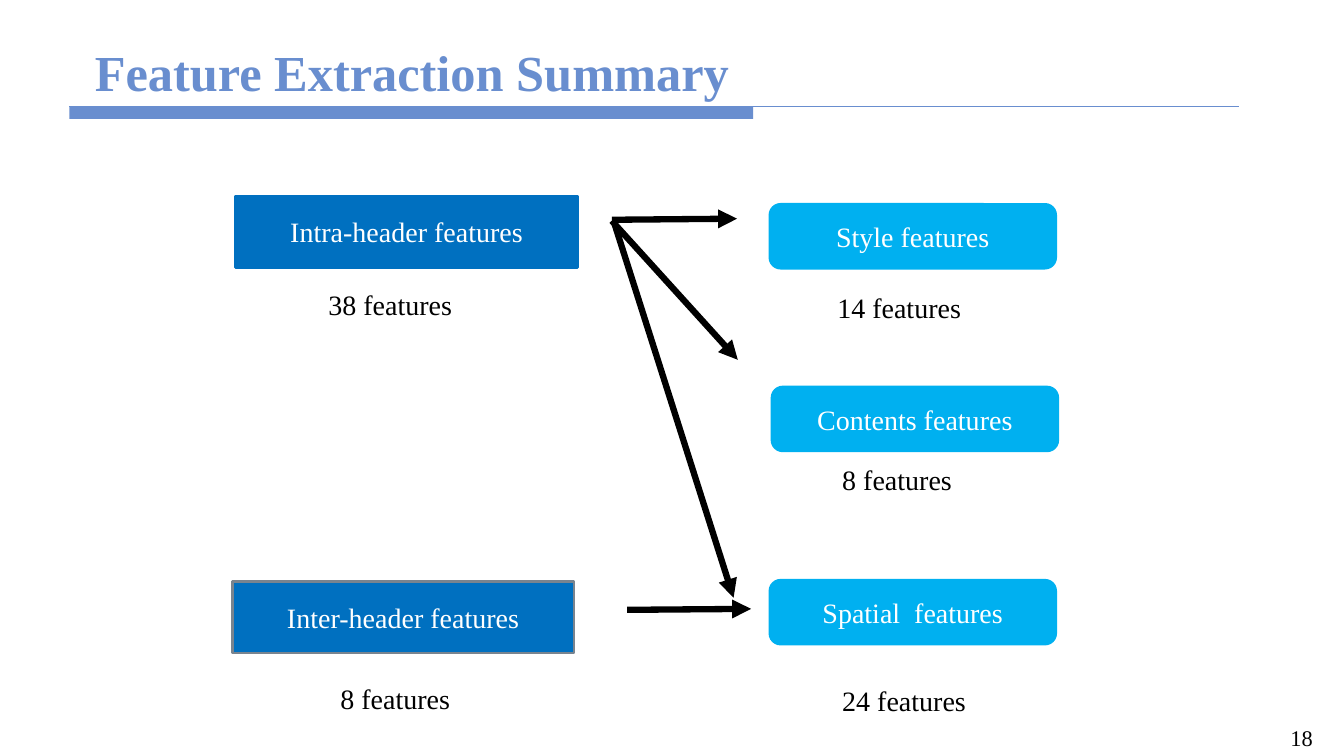
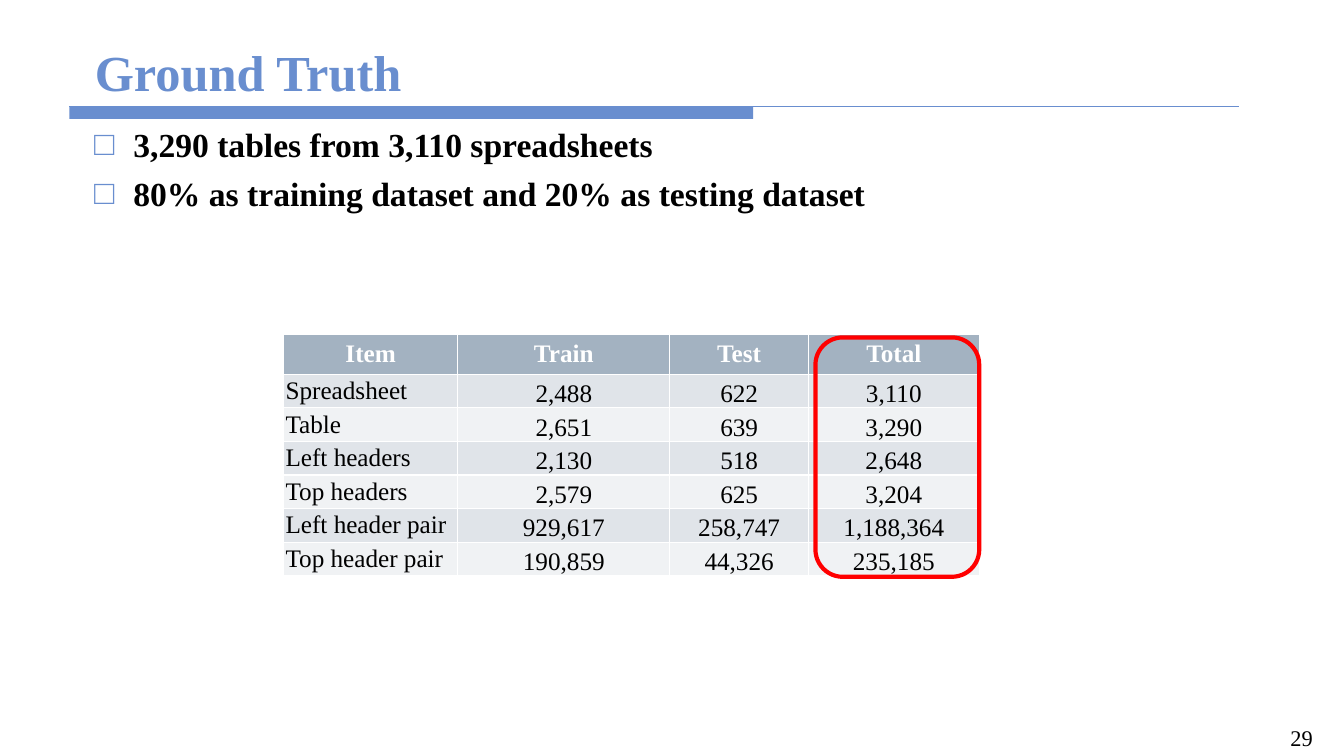
from lxml import etree
from pptx import Presentation
from pptx.dml.color import RGBColor
from pptx.enum.shapes import MSO_CONNECTOR, MSO_SHAPE
from pptx.enum.text import MSO_ANCHOR, MSO_AUTO_SIZE, PP_ALIGN
from pptx.oxml.ns import qn
from pptx.util import Pt

LEFT, CENTER = PP_ALIGN.LEFT, PP_ALIGN.CENTER
TOP, MIDDLE, BOTTOM = MSO_ANCHOR.TOP, MSO_ANCHOR.MIDDLE, MSO_ANCHOR.BOTTOM
RECT, ROUNDED = MSO_SHAPE.RECTANGLE, MSO_SHAPE.ROUNDED_RECTANGLE
STRAIGHT = MSO_CONNECTOR.STRAIGHT
NO_AUTOFIT = MSO_AUTO_SIZE.NONE

FONT = "Times New Roman"
COLORS = {
    "accent": "698ECF", "black": "000000", "white": "FFFFFF",
    "source": "0070C0", "source_edge": "79848F", "group": "00B0F0",
    "header": "A3B2C1", "row_dark": "E0E4E9", "row_light": "F0F2F4",
    "highlight": "FF0000",
}
TITLE_ONLY, TITLE_AND_BODY = 5, 1

HEADER_KINDS = [
    ("Intra-header features", 2.5, 0, "source"),
    ("Inter-header features", 0, 275.5, "source_edge"),
]
FEATURE_GROUPS = [
    ("Style features", 384, 6),
    ("Contents features", 385.5, 136.5),
    ("Spatial  features", 384, 274.5),
]
FEATURE_COUNTS = [
    ("38 features", 61.5, 61.5),
    ("8 features", 70, 343),
    ("14 features", 425, 64),
    ("8 features", 428.5, 187),
    ("24 features", 428.5, 344.5),
]
ARROWS = [
    (271, 17, 360.5, 16.2),
    (282, 295.6, 370.5, 294.9),
    (271, 17.7, 361, 117),
    (273, 20, 358, 287),
]
DATASET_FACTS = [
    "3,290 tables from 3,110 spreadsheets",
    "80% as training dataset and 20% as testing dataset",
]
DATASET_COUNTS = [
    ("Item", "Train", "Test", "Total"),
    ("Spreadsheet", "2,488", "622", "3,110"),
    ("Table", "2,651", "639", "3,290"),
    ("Left headers", "2,130", "518", "2,648"),
    ("Top headers", "2,579", "625", "3,204"),
    ("Left header pair", "929,617", "258,747", "1,188,364"),
    ("Top header pair", "190,859", "44,326", "235,185"),
]


def rgb(name):
    return RGBColor.from_string(COLORS[name])


def write(paragraph, text, size, color="black", bold=False, align=LEFT):
    paragraph.alignment = align
    run = paragraph.add_run()
    run.text = text
    run.font.name = FONT
    run.font.size = Pt(size)
    run.font.bold = bold
    run.font.color.rgb = rgb(color)


def place(placeholder, left, top, width, height, anchor):
    placeholder.left, placeholder.top = Pt(left), Pt(top)
    placeholder.width, placeholder.height = Pt(width), Pt(height)
    frame = placeholder.text_frame
    frame.auto_size = NO_AUTOFIT
    frame.vertical_anchor = anchor
    return frame


def add_label(slide, text, left, top, width, height, size, align=LEFT):
    frame = slide.shapes.add_textbox(
        Pt(left), Pt(top), Pt(width), Pt(height)).text_frame
    frame.word_wrap = True
    write(frame.paragraphs[0], text, size, align=align)


def add_block(slide, kind, left, top, width, height, fill, edge, weight):
    block = slide.shapes.add_shape(kind, Pt(left), Pt(top), Pt(width), Pt(height))
    block.shadow.inherit = False
    if fill:
        block.fill.solid()
        block.fill.fore_color.rgb = rgb(fill)
    else:
        block.fill.background()
    if edge:
        block.line.color.rgb = rgb(edge)
        block.line.width = Pt(weight)
    else:
        block.line.fill.background()
    return block


def add_rule(slide, start_x, start_y, end_x, end_y, color, weight):
    rule = slide.shapes.add_connector(
        STRAIGHT, Pt(start_x), Pt(start_y), Pt(end_x), Pt(end_y))
    rule.line.color.rgb = rgb(color)
    rule.line.width = Pt(weight)
    etree.SubElement(rule._element.spPr, qn("a:effectLst"))
    return rule


def add_arrow(slide, start_x, start_y, end_x, end_y):
    arrow = add_rule(slide, start_x, start_y, end_x, end_y, "black", 4.5)
    etree.SubElement(arrow.line._get_or_add_ln(), qn("a:tailEnd"), type="triangle")


def add_title_band(slide, left, top, width):
    add_block(slide, RECT, left, top, 488.5, 8.7, "accent", None, 0)
    add_rule(slide, left, top, left + width, top, "accent", 0.75)


def start_slide(deck, layout, title, number):
    slide = deck.slides.add_slide(deck.slide_layouts[layout])
    add_title_band(slide, 49.5, 76.2, 835.5)
    heading = place(slide.shapes.title, 60.5, 24, 840, 52.5, BOTTOM)
    write(heading.paragraphs[0], title, 36, "accent", True)
    add_label(slide, number, 899.5, 513.5, 60.5, 25, 16, CENTER)
    return slide


def add_feature_map(slide, left, top):
    for text, x, y, edge in HEADER_KINDS:
        block = add_block(slide, RECT, left + x, top + y, 244, 51, "source", edge, 2)
        write(block.text_frame.paragraphs[0], text, 20, "white", align=CENTER)
    for text, x, y in FEATURE_GROUPS:
        block = add_block(
            slide, ROUNDED, left + x, top + y, 204, 45.5, "group", "group", 2)
        write(block.text_frame.paragraphs[0], text, 20, "white", align=CENTER)
    for text, x, y in FEATURE_COUNTS:
        add_label(slide, text, left + x, top + y, 124.5, 31.5, 20)
    for start_x, start_y, end_x, end_y in ARROWS:
        add_arrow(slide, left + start_x, top + start_y, left + end_x, top + end_y)


def add_bullet(paragraph):
    properties = paragraph._p.get_or_add_pPr()
    properties.set("marL", str(Pt(28)))
    properties.set("indent", str(-Pt(28)))
    color = etree.SubElement(properties, qn("a:buClr"))
    etree.SubElement(color, qn("a:srgbClr"), val=COLORS["accent"])
    etree.SubElement(properties, qn("a:buFont"), typeface=FONT)
    etree.SubElement(properties, qn("a:buChar"), char="□")


def add_facts(slide, left, top, width, height):
    frame = place(slide.placeholders[1], left, top, width, height, TOP)
    for index, fact in enumerate(DATASET_FACTS):
        paragraph = frame.add_paragraph() if index else frame.paragraphs[0]
        add_bullet(paragraph)
        paragraph.space_before = Pt(6 if index else 0)
        write(paragraph, fact, 24, bold=True)


def format_count(cell, text, row, column):
    header = row == 0
    fill = "header" if header else ("row_dark" if row % 2 else "row_light")
    cell.fill.solid()
    cell.fill.fore_color.rgb = rgb(fill)
    if row or column:
        cell.margin_left = cell.margin_right = Pt(1.5)
        cell.margin_top = cell.margin_bottom = Pt(0)
    cell.vertical_anchor = MIDDLE if header or column == 0 else BOTTOM
    write(cell.text_frame.paragraphs[0], text, 18,
          "white" if header else "black", header,
          CENTER if header or column else LEFT)


def add_dataset_table(slide, left, top):
    widths = [124.5, 151.5, 99, 122]
    row_height = 24
    rows = len(DATASET_COUNTS)
    table = slide.shapes.add_table(
        rows, len(widths), Pt(left), Pt(top),
        Pt(sum(widths)), Pt(row_height * rows)).table
    for column, width in zip(table.columns, widths):
        column.width = Pt(width)
    for row, values in enumerate(DATASET_COUNTS):
        table.rows[row].height = Pt(row_height)
        for column, text in enumerate(values):
            format_count(table.cell(row, column), text, row, column)
    total_left = left + sum(widths[:-1])
    add_block(slide, ROUNDED, total_left + 5, top + 2.5, 117, 171,
              None, "highlight", 3)


def main():
    deck = Presentation()
    deck.slide_width, deck.slide_height = Pt(960), Pt(540)
    summary = start_slide(deck, TITLE_ONLY, "Feature Extraction Summary", "18")
    add_feature_map(summary, 166, 140)
    ground_truth = start_slide(deck, TITLE_AND_BODY, "Ground Truth", "29")
    add_facts(ground_truth, 60, 85, 840, 452)
    add_dataset_table(ground_truth, 202.5, 238.5)
    deck.save("out.pptx")


if __name__ == "__main__":
    main()
